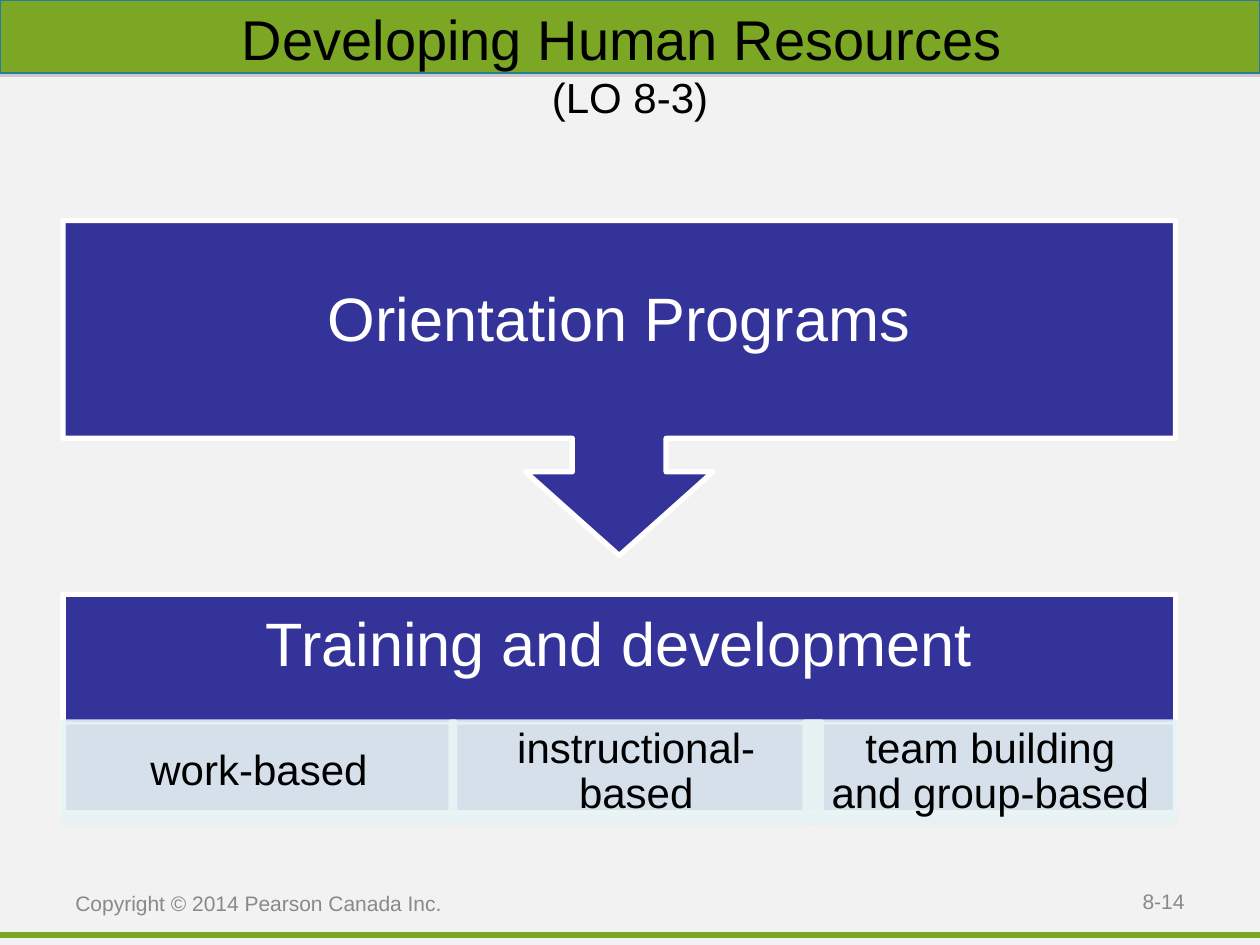
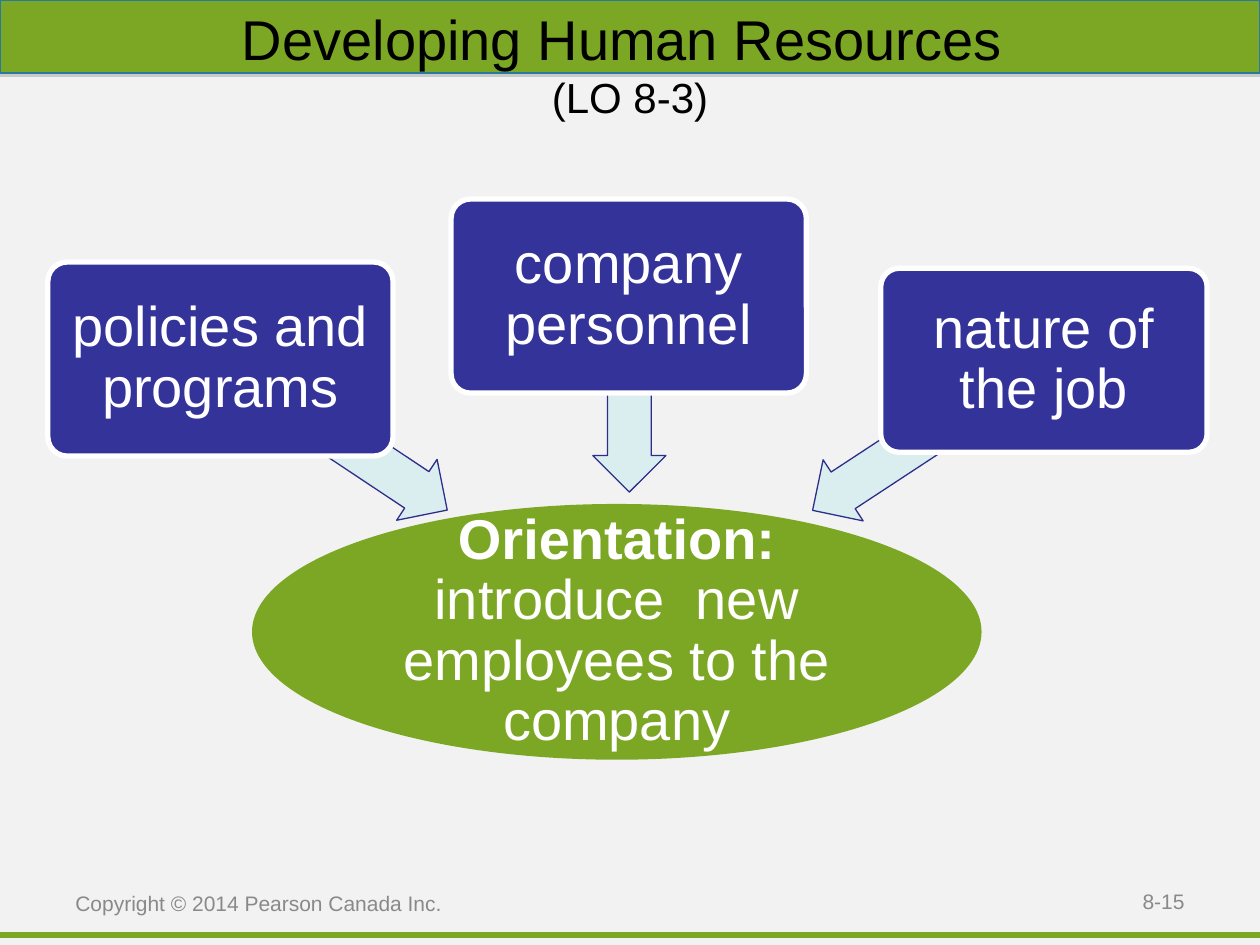
import pptx
import pptx.util
import pptx.dml.color
import pptx.enum.shapes
import pptx.enum.text
import pptx.oxml
import pptx.oxml.ns

RGB = pptx.dml.color.RGBColor
GREEN = RGB(0x7C, 0xA7, 0x24)
BLUE = RGB(0x33, 0x33, 0x99)
EDGE = RGB(0x28, 0x7A, 0x9E)
NAVY = RGB(0x2D, 0x2D, 0x8A)
PALE = RGB(0xE7, 0xF3, 0xF4)
AQUA = RGB(0xDA, 0xED, 0xEF)
PAPER = RGB(0xF2, 0xF2, 0xF2)
GREY = RGB(0x89, 0x89, 0x89)
WHITE = RGB(0xFF, 0xFF, 0xFF)
BLACK = RGB(0, 0, 0)

KIND = pptx.enum.shapes.MSO_SHAPE
ALIGN = pptx.enum.text.PP_ALIGN
NS = pptx.oxml.ns.nsdecls("a")

deck = pptx.Presentation()
deck.slide_width = pptx.util.Inches(10)
deck.slide_height = pptx.util.Inches(7.5)
CELL = deck.slide_width / 100  # the slide is a grid of 100 columns by 75 rows


def put(slide, kind, box, fill, line=None, width=3):
    """Draw a preset shape; box is left, top, width, height in grid cells."""
    shape = slide.shapes.add_shape(kind, *[round(n * CELL) for n in box])
    shape.shadow.inherit = False
    shape.fill.solid()
    shape.fill.fore_color.rgb = fill
    if line is None:
        shape.line.fill.background()
    else:
        shape.line.color.rgb = line
        shape.line.width = pptx.util.Pt(width)
    return shape


def write(shape, text, size, color, pad, align=ALIGN.CENTER, space=0.9):
    """Fill a shape with one paragraph; pad is left, top, right, bottom in cells."""
    frame = shape.text_frame
    frame.text = text
    frame.word_wrap = True
    frame.auto_size = pptx.enum.text.MSO_AUTO_SIZE.NONE
    frame.vertical_anchor = pptx.enum.text.MSO_ANCHOR.MIDDLE
    (frame.margin_left, frame.margin_top,
     frame.margin_right, frame.margin_bottom) = [round(n * CELL) for n in pad]
    para = frame.paragraphs[0]
    para.alignment = align
    para.line_spacing = space
    for run in para.runs:
        run.font.name = "Arial"
        run.font.size = pptx.util.Pt(size)
        run.font.color.rgb = color
    return para


# Shared look of both slides
back = deck.slide_master.background.fill
back.solid()
back.fore_color.rgb = PAPER

slides = []
for number in ("8-14", "8-15"):
    slide = deck.slides.add_slide(deck.slide_layouts[5])
    slides.append(slide)

    rule = slide.shapes.add_connector(
        pptx.enum.shapes.MSO_CONNECTOR.STRAIGHT,
        0, round(74.2 * CELL), deck.slide_width, round(74.2 * CELL))
    rule.line.color.rgb = GREEN
    rule.line.width = pptx.util.Pt(3)
    rule.element.spPr.append(pptx.oxml.parse_xml(f"<a:effectLst {NS}/>"))

    band = put(slide, KIND.RECTANGLE, (0, 0, 100, 5.8), GREEN, EDGE, 0.75)
    glow = band.element.spPr.find(pptx.oxml.ns.qn("a:effectLst"))
    glow.append(pptx.oxml.parse_xml(
        f'<a:outerShdw {NS} dist="22860" dir="5400000" rotWithShape="0">'
        '<a:srgbClr val="808080"><a:alpha val="35000"/></a:srgbClr></a:outerShdw>'))

    title = slide.shapes.title
    title.left, title.top = 0, 0
    title.width, title.height = deck.slide_width, round(10 * CELL)
    para = write(title, "Developing Human Resources \v(LO 8-3)", 32, BLACK,
                 (2.5, 2.5, 2.5, 2.5), space=1.0)
    para.runs[1].font.size = pptx.util.Pt(24)
    slide.shapes.element.append(title.element)  # in front of the band

    for text, box, align in (
            (number, (71.7, 69.5, 23.3, 4), ALIGN.RIGHT),
            ("Copyright © 2014 Pearson Canada Inc.", (5, 68.3, 31.7, 6.7), ALIGN.LEFT)):
        note = slide.shapes.add_textbox(*[round(n * CELL) for n in box])
        write(note, text, 12, GREY, (1, 0.5, 1, 0.5), align, 1.0)

# Slide 1: orientation leads to training
steps, inputs = slides
LEFT, WIDE = 5, 88.3

train = put(steps, KIND.RECTANGLE, (LEFT, 47.2, WIDE, 17.3), BLUE, WHITE)
write(train, "Training and development", 35, WHITE, (2.7, 2.7, 2.7, 11.7))

for text, left, width in (("work-based", LEFT, 31.1),
                          ("instructional-based", 35.8, 29.4),
                          ("team building and group-based", 63.9, 29.4)):
    type_box = put(steps, KIND.RECTANGLE, (left, 57.3, width, 8), PALE, PALE)
    for tint in type_box.element.spPr.iter(pptx.oxml.ns.qn("a:srgbClr")):
        tint.append(pptx.oxml.parse_xml(f'<a:alpha {NS} val="90000"/>'))
    write(type_box, text, 24, BLACK, (1.9, 0.3, 1.9, 0.3))

start = put(steps, KIND.DOWN_ARROW_CALLOUT, (LEFT, 17.5, WIDE, 26.6), BLUE, WHITE)
for i, share in enumerate((0.28, 0.28, 0.25, 0.65)):
    start.adjustments[i] = share
write(start, "Orientation Programs", 35, WHITE, (2.7, 2.7, 2.7, 3.9))

# Slide 2: three inputs point at the orientation oval
oval = put(inputs, KIND.OVAL, (20, 40, 57.9, 20.3), GREEN)
para = write(oval, "Orientation:", 32, WHITE, (0, 0, 0, 0))
para.runs[0].font.bold = True
rest = para.add_run()
rest.text = " introduce  new employees to the company"
rest.font.name = "Arial"
rest.font.size = pptx.util.Pt(32)
rest.font.color.rgb = WHITE

for text, box, arrow, turn in (
        ("policies and programs", (3.8, 20.8, 27.4, 15.4), (15.7, 31.6, 21.6, 5.8), 213.6),
        ("company personnel", (35.8, 15.8, 28.2, 15.4), (42.2, 28.4, 15.5, 5.8), 270),
        ("nature of the job", (69.9, 21.3, 25.9, 14.6), (62.7, 31.6, 21.9, 5.8), 326.7)):
    point = put(inputs, KIND.LEFT_ARROW, arrow, AQUA, NAVY, 0.75)
    point.adjustments[0], point.adjustments[1] = 0.6, 0.5
    point.rotation = turn
    card = put(inputs, KIND.ROUNDED_RECTANGLE, box, BLUE, WHITE)
    card.adjustments[0] = 0.1
    write(card, text, 32, WHITE, (0.7, 0.7, 0.7, 0.7))

deck.save("out.pptx")
